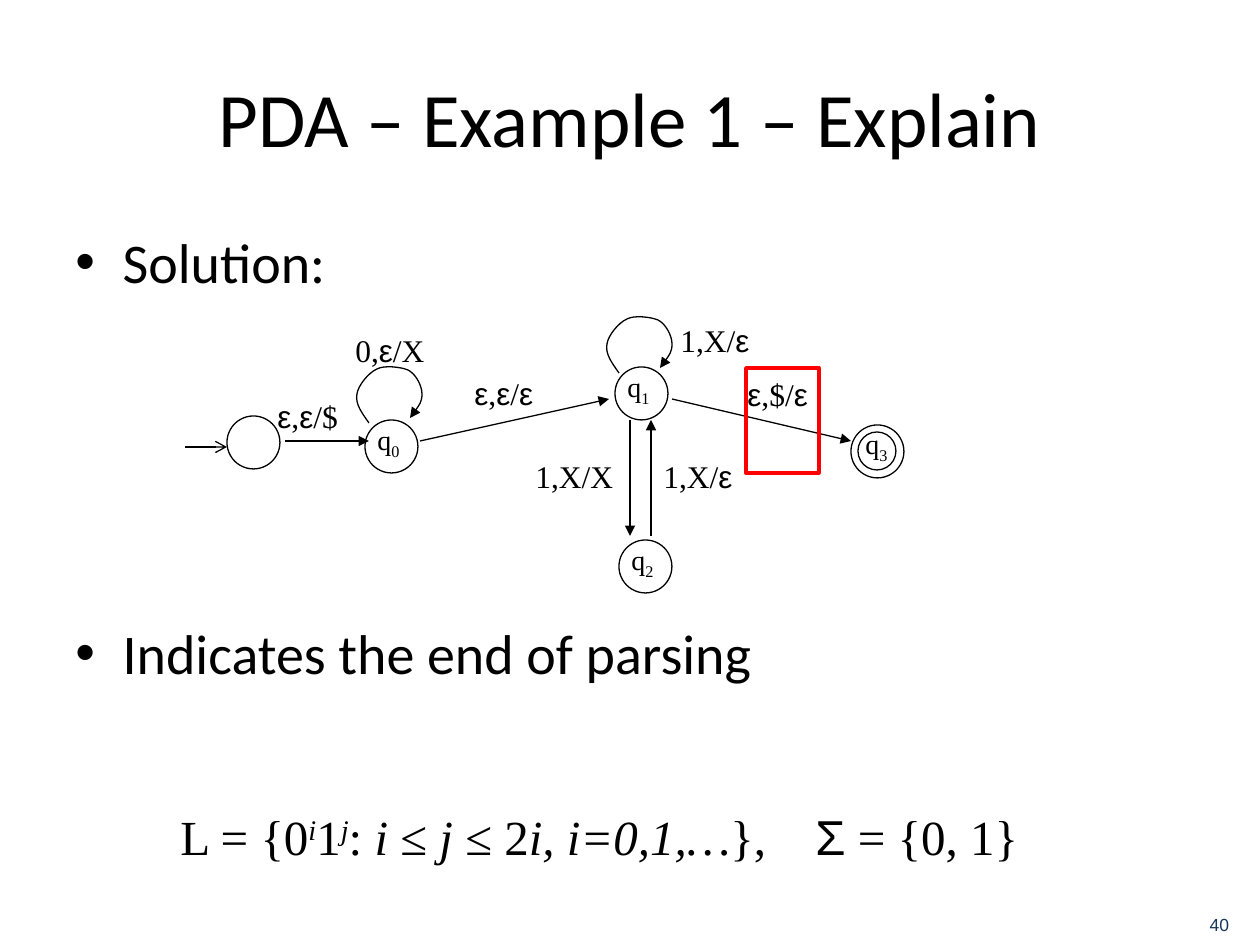
"""Builds the slide that explains the first pushdown automaton example."""
from itertools import groupby

from lxml.etree import SubElement
from pptx import Presentation
from pptx.dml.color import RGBColor
from pptx.enum.shapes import MSO_CONNECTOR as Connector, MSO_SHAPE as Shape
from pptx.enum.text import MSO_ANCHOR as Anchor, PP_ALIGN as Align
from pptx.oxml.ns import qn
from pptx.util import Pt

BLACK = RGBColor(0x00, 0x00, 0x00)
RED = RGBColor(0xFF, 0x00, 0x00)
NAVY = RGBColor(0x17, 0x36, 0x5C)
SERIF = "Times New Roman"
PX = 914400 / 126


def write(para, text, size=18, font=SERIF, color=BLACK, italic=False, baseline=0):
    for greek, letters in groupby(text, lambda letter: letter in "εΣ"):
        span = para.add_run()
        span.text = "".join(letters)
        span.font.size = Pt(size)
        span.font.name = "Arial" if greek else font
        span.font.color.rgb = color
        if italic:
            span.font.italic = True
        if baseline:
            span.font._element.set("baseline", str(baseline * 1000))


def outline(line, color=BLACK, width=0.75, arrow=None):
    line.color.rgb = color
    line.width = Pt(width)
    if arrow:
        SubElement(line._get_or_add_ln(), qn("a:tailEnd"), type=arrow)


deck = Presentation()
deck.slide_width, deck.slide_height = round(1260 * PX), round(945 * PX)
page = deck.slides.add_slide(deck.slide_layouts[5])
shapes = page.shapes

title = shapes.title
title.left, title.top, title.width, title.height = [round(n * PX) for n in (63, 38, 1134, 157)]
title.text_frame.vertical_anchor = Anchor.MIDDLE
para = title.text_frame.paragraphs[0]
para.alignment = Align.CENTER
write(para, "PDA – Example 1 – Explain", size=44, font="Calibri")

body = shapes.add_textbox(*[round(n * PX) for n in (63, 221, 1134, 624)])
frame = body.text_frame
frame.word_wrap = True
for index, (text, space) in enumerate([("Solution:", 3), ("Indicates the end of parsing", 185)]):
    para = frame.add_paragraph() if index else frame.paragraphs[0]
    para.space_before = Pt(space)
    write(para, text, size=32, font="Calibri")
    props = para._p.get_or_add_pPr()
    props.set("marL", "342900")
    props.set("indent", "-342900")
    SubElement(props, qn("a:buFont"), typeface="Arial")
    SubElement(props, qn("a:buChar"), char="•")

LOOP = [(369, 423), (362, 413), (355, 404), (357, 394), (358, 386), (368, 373), (377, 369),
        (384, 365), (401, 367), (408, 370), (416, 374), (422, 386), (422, 394),
        (422, 402), (416, 410), (410, 418)]
for right, down in [(0, 0), (250, -50)]:
    points = [(x + right, y + down) for x, y in LOOP]
    builder = shapes.build_freeform(*points[0], scale=PX)
    builder.add_line_segments(points[1:], close=False)
    loop = builder.convert_to_shape()
    loop.shadow.inherit = False
    loop.fill.background()
    outline(loop.line, arrow="triangle")
    corners = list(loop._element.iter(qn("a:lnTo")))
    for start in range(0, len(corners), 3):
        curve = SubElement(corners[0].getparent(), qn("a:cubicBezTo"))
        for corner in corners[start:start + 3]:
            curve.append(corner[0])
    for corner in corners:
        corner.getparent().remove(corner)

for left, top, size in [(227, 416, 53), (365, 420, 53), (615, 367, 53), (619, 540, 53),
                        (851, 425, 53), (858, 432, 38)]:
    state = shapes.add_shape(Shape.OVAL, *[round(n * PX) for n in (left, top, size, size)])
    state.shadow.inherit = False
    state.fill.background()
    outline(state.line)

for *ends, arrow in [
    (185, 447, 227, 447, "arrow"),
    (285, 441, 369, 441, "triangle"),
    (420, 441, 609, 399, "triangle"),
    (630, 420, 630, 536, "triangle"),
    (651, 536, 651, 420, "triangle"),
    (672, 399, 851, 441, "triangle"),
]:
    edge = shapes.add_connector(Connector.STRAIGHT, *[round(n * PX) for n in ends])
    outline(edge.line, arrow=arrow)
    SubElement(edge._element.spPr, qn("a:effectLst"))

for text, left, top, width in [
    ("ε,ε/$", 265, 391, 89),
    ("0,ε/X", 343, 325, 98),
    ("ε,ε/ε", 462, 368, 89),
    ("ε,$/ε", 735, 369, 98),
    ("1,X/ε", 668, 315, 98),
    ("1,X/X", 523, 451, 107),
    ("1,X/ε", 651, 451, 98),
]:
    label = shapes.add_textbox(*[round(n * PX) for n in (left, top, width, 50)])
    label.text_frame.word_wrap = False
    write(label.text_frame.paragraphs[0], text)

for number, (left, top) in enumerate([(365, 416), (615, 363), (619, 536), (853, 420)]):
    name = shapes.add_textbox(*[round(n * PX) for n in (left, top, 48, 47)])
    name.text_frame.word_wrap = False
    para = name.text_frame.paragraphs[0]
    write(para, "q", size=16)
    write(para, str(number), size=16, baseline=-25)

language = shapes.add_textbox(*[round(n * PX) for n in (168, 800, 945, 72)])
language.text_frame.word_wrap = True
para = language.text_frame.paragraphs[0]
stops = SubElement(para._p.get_or_add_pPr(), qn("a:tabLst"))
SubElement(stops, qn("a:tab"), pos=str(round(635 * PX)), algn="l")
for text, italic, baseline in [
    ("L = {0", False, 0), ("i", True, 30), ("1", False, 0), ("j", True, 30),
    (": ", False, 0), ("i", True, 0), (" ≤ ", False, 0), ("j", True, 0),
    (" ≤ 2", False, 0), ("i, i=0,1,…", True, 0), ("},\tΣ = {0, 1}", False, 0),
]:
    write(para, text, size=28, italic=italic, baseline=baseline)

highlight = shapes.add_shape(Shape.RECTANGLE, *[round(n * PX) for n in (746, 368, 73, 105)])
highlight.shadow.inherit = False
highlight.fill.background()
outline(highlight.line, color=RED, width=2)

footer = shapes.add_textbox(*[round(n * PX) for n in (1124, 885, 105, 50)])
frame = footer.text_frame
frame.word_wrap = True
frame.margin_left = frame.margin_top = frame.margin_right = frame.margin_bottom = 0
frame.vertical_anchor = Anchor.BOTTOM
para = frame.paragraphs[0]
para.alignment = Align.RIGHT
write(para, "40", size=10, font="Arial", color=NAVY)

deck.save("out.pptx")
